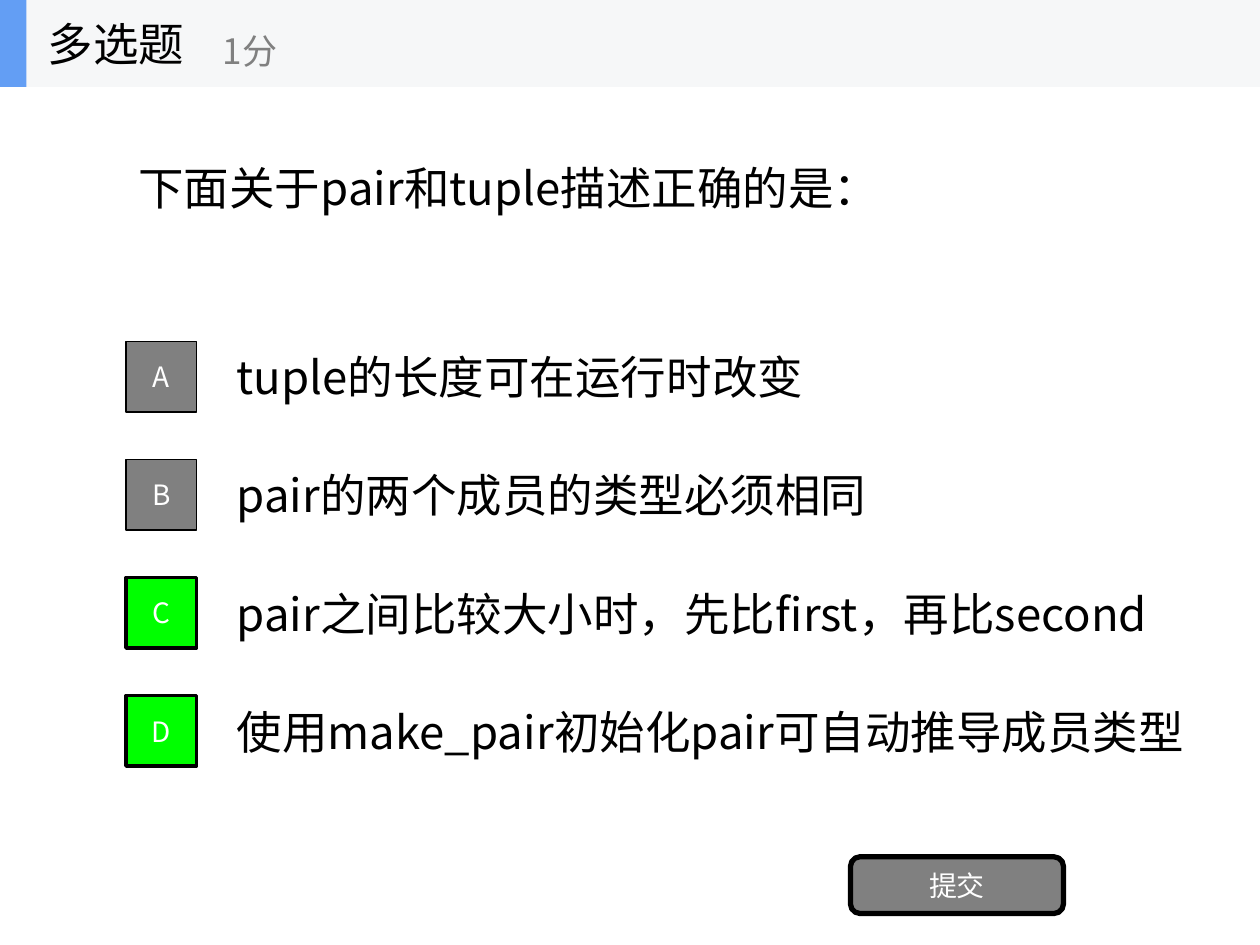
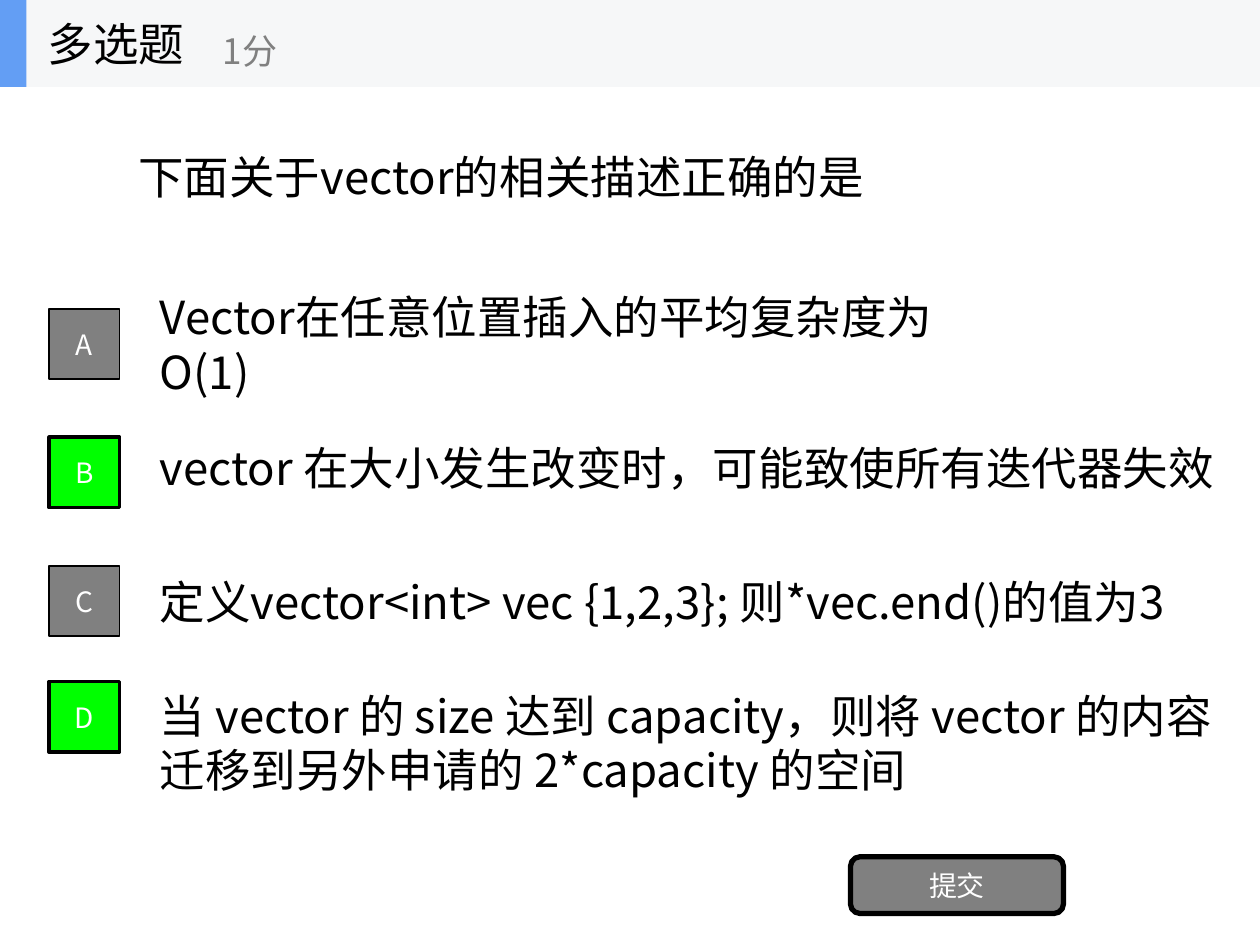
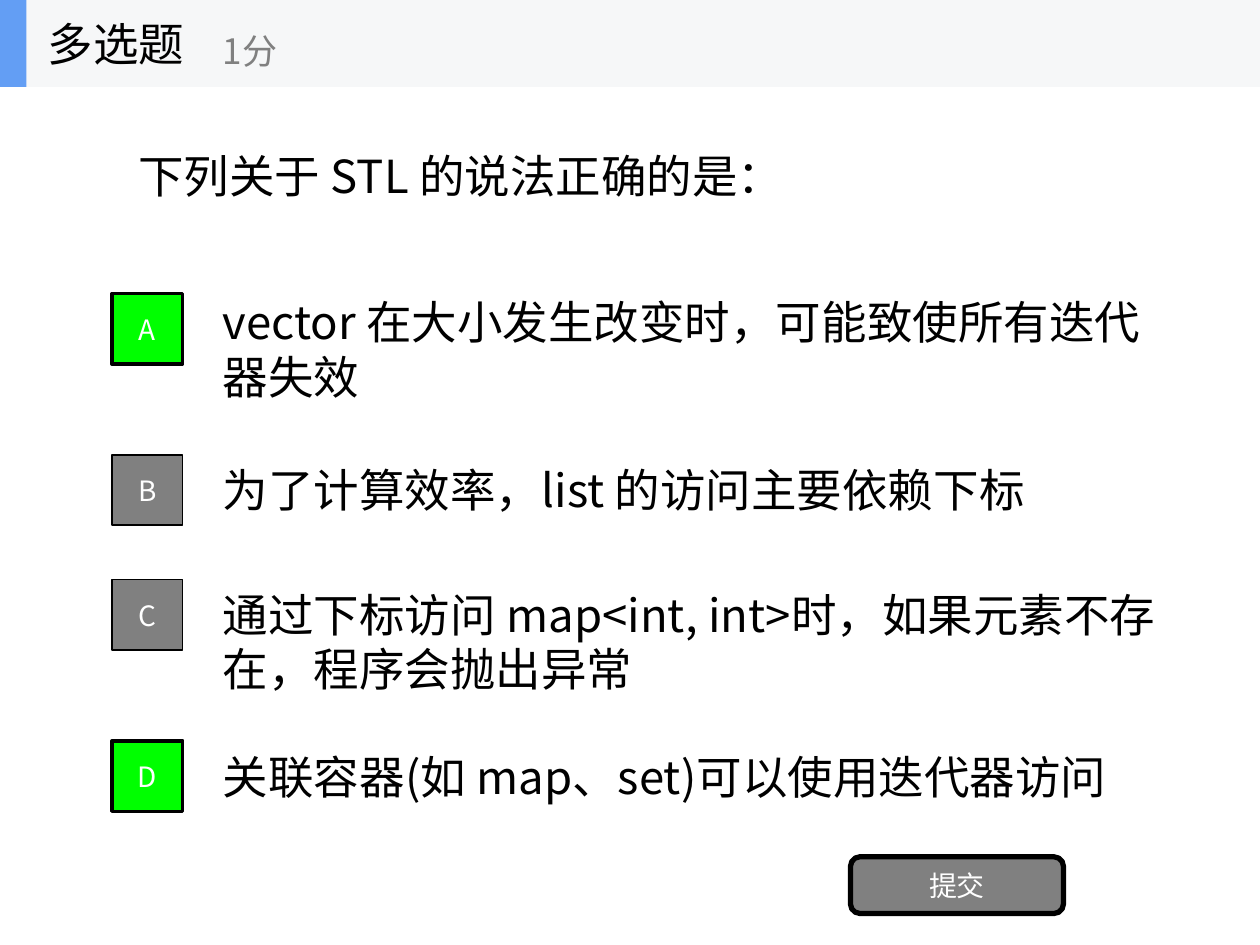
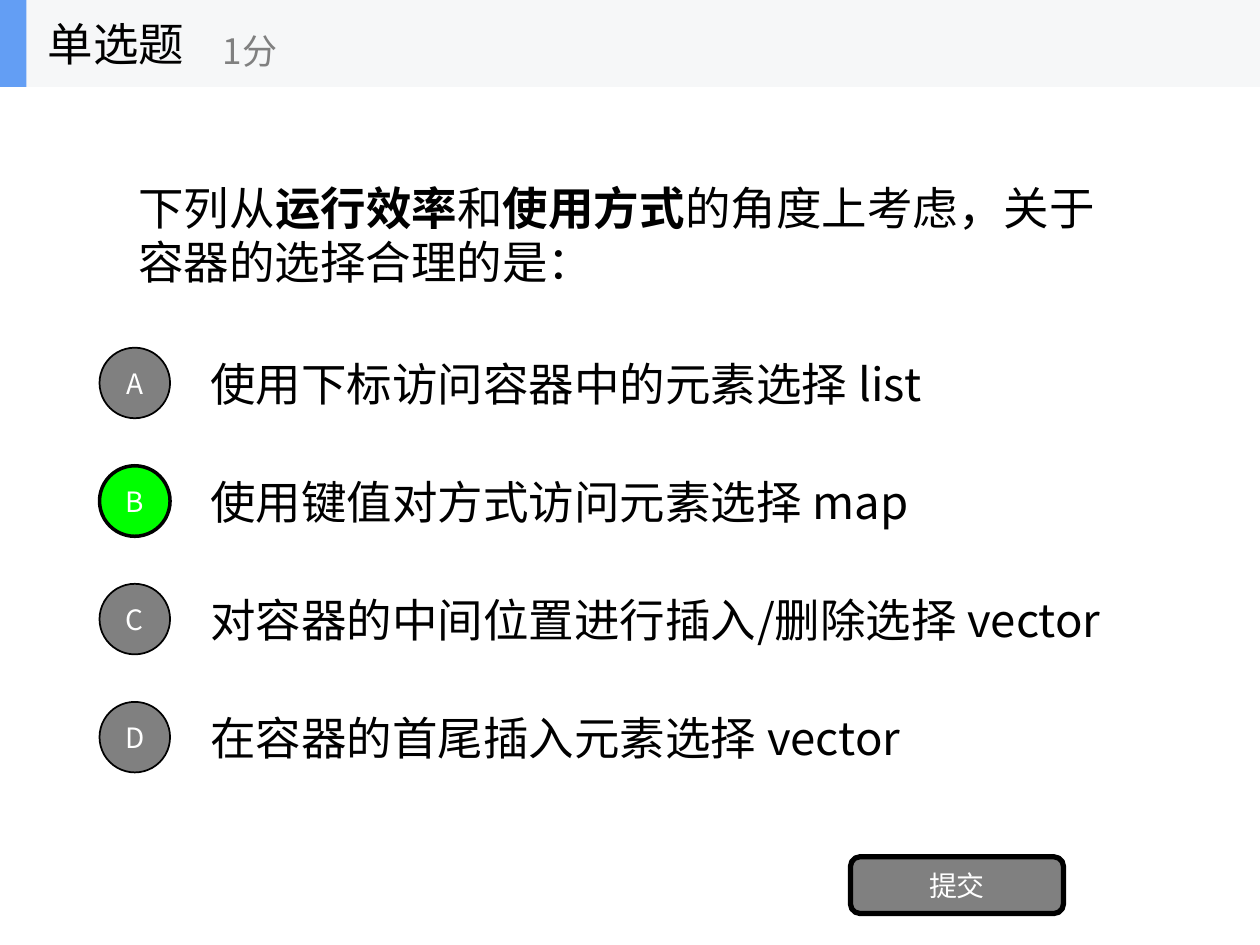
from dataclasses import dataclass

from pptx import Presentation
from pptx.dml.color import RGBColor
from pptx.enum.shapes import MSO_SHAPE as Shape
from pptx.enum.text import MSO_ANCHOR as Anchor, PP_ALIGN as Align
from pptx.oxml.ns import qn
from pptx.util import Inches, Pt

# The slide is a grid of 100 columns by 75 rows; all lengths count cells.
SLIDE_W, SLIDE_H = Inches(10), Inches(7.5)
COL, ROW = SLIDE_W / 100, SLIDE_H / 75

FONT = "Noto Sans CJK SC"
BLACK, WHITE, GRAY = "000000", "FFFFFF", "808080"
GREEN, BAND, ACCENT = "00FF00", "F6F7F8", "639EF4"
BODY_PT, SCORE_PT, LABEL_PT = 26, 20, 16

HEADER_H = 6.9
BADGE = 5.6
OPTION_H = 7
OPTION_INDENT = 7.8
OPTION_PITCH = 9.37
LETTERS = "ABCD"


@dataclass(frozen=True)
class Box:
    left: float
    top: float
    width: float
    height: float

    def emu(self) -> tuple[int, int, int, int]:
        return (round(self.left * COL), round(self.top * ROW),
                round(self.width * COL), round(self.height * ROW))


@dataclass(frozen=True)
class Option:
    """An answer; shift moves its text off the middle of its badge."""
    text: str
    width: float
    shift: float = 0


@dataclass(frozen=True)
class Question:
    kind: str
    prompt: str
    prompt_h: float
    left: float
    tops: list[float]
    options: list[Option]
    answers: str
    badge: Shape = Shape.RECTANGLE


def even_tops(first: float) -> list[float]:
    return [first + i * OPTION_PITCH for i in range(len(LETTERS))]


def rgb(color: str) -> RGBColor:
    return RGBColor.from_string(color)


def write(sp, text: str, size: float, color: str, align: Align = Align.LEFT,
          wrap: bool = True) -> None:
    """Put text in a shape; parts between double asterisks are bold."""
    tf = sp.text_frame
    tf.word_wrap = wrap
    tf.vertical_anchor = Anchor.MIDDLE
    p = tf.paragraphs[0]
    p.alignment = align
    for i, part in enumerate(text.split("**")):
        r = p.add_run()
        r.text = part
        font = r.font
        font.name, font.size, font.bold = FONT, Pt(size), i % 2 == 1
        font.color.rgb = rgb(color)
        ea = r._r.get_or_add_rPr().makeelement(qn("a:ea"), {"typeface": FONT})
        font._element.find(qn("a:latin")).addnext(ea)


def add_text(shapes, box: Box, text: str, size: float = BODY_PT,
             color: str = BLACK, wrap: bool = True) -> None:
    write(shapes.add_textbox(*box.emu()), text, size, color, wrap=wrap)


def add_block(shapes, kind: Shape, box: Box, fill: str, line_pt: float = 0,
              label: str = "") -> None:
    sp = shapes.add_shape(kind, *box.emu())
    sp.shadow.inherit = False
    sp.fill.solid()
    sp.fill.fore_color.rgb = rgb(fill)
    if line_pt:
        sp.line.color.rgb = rgb(BLACK)
        sp.line.width = Pt(line_pt)
    else:
        sp.line.fill.background()
    if label:
        write(sp, label, LABEL_PT, WHITE, Align.CENTER)


def add_header(slide, kind: str) -> None:
    shapes = slide.shapes.add_group_shape().shapes
    add_block(shapes, Shape.RECTANGLE, Box(0, 0, 100, HEADER_H), BAND)
    add_block(shapes, Shape.RECTANGLE, Box(0, 0, 2.1, HEADER_H), ACCENT)
    add_text(shapes, Box(2.8, 0, 20.8, HEADER_H), kind, wrap=False)
    add_text(shapes, Box(16.7, 1.2, 25, 5.6), "1分", SCORE_PT, GRAY, wrap=False)


def add_question(prs, q: Question) -> None:
    slide = prs.slides.add_slide(prs.slide_layouts[6])
    shapes = slide.shapes
    add_text(shapes, Box(10, HEADER_H, 80, q.prompt_h), q.prompt)
    for top, option in zip(q.tops, q.options):
        text_top = top - (OPTION_H - BADGE) / 2 + option.shift
        add_text(shapes, Box(q.left + OPTION_INDENT, text_top, option.width, OPTION_H),
                 option.text)
    for top, letter in zip(q.tops, LETTERS):
        fill, line_pt = (GREEN, 2) if letter in q.answers else (GRAY, 1)
        add_block(shapes, q.badge, Box(q.left, top, BADGE, BADGE), fill, line_pt, letter)
    add_block(shapes, Shape.ROUNDED_RECTANGLE, Box(67.5, 68, 16.9, 4.5), GRAY, 3, "提交")
    add_header(slide, q.kind)


QUESTIONS = [
    Question("多选题", "下面关于pair和tuple描述正确的是：", 16, 10, even_tops(27.1), [
        Option("tuple的长度可在运行时改变", 70),
        Option("pair的两个成员的类型必须相同", 70),
        Option("pair之间比较大小时，先比first，再比second", 76.2),
        Option("使用make_pair初始化pair可自动推导成员类型", 81.2),
    ], "CD"),
    Question("多选题", "下面关于vector的相关描述正确的是", 14.1, 3.9,
             [24.5, 34.7, 44.9, 54.1], [
        Option("Vector在任意位置插入的平均复杂度为O(1)", 70),
        Option("vector 在大小发生改变时，可能致使所有迭代器失效", 86.7, -0.4),
        Option("定义vector<int> vec {1,2,3}; 则*vec.end()的值为3", 86.7),
        Option("当 vector 的 size 达到 capacity，则将 vector 的内容迁移到另外申请的 "
               "2*capacity 的空间", 85.7, 2),
    ], "BD"),
    Question("多选题", "下列关于 STL 的说法正确的是：", 14, 8.9,
             [23.3, 36.1, 46, 58.8], [
        Option("vector 在大小发生改变时，可能致使所有迭代器失效", 77.6, 1.6),
        Option("为了计算效率，list 的访问主要依赖下标", 70, -0.1),
        Option("通过下标访问 map<int, int>时，如果元素不存在，程序会抛出异常", 76.6, 2.1),
        Option("关联容器(如 map、set)可以使用迭代器访问", 74.1),
    ], "AD"),
    Question("单选题", "下列从**运行效率**和**使用方式**的角度上考虑，关于容器的选择合理的是：",
             23.4, 7.9, even_tops(27.6), [
        Option("使用下标访问容器中的元素选择 list", 78.4),
        Option("使用键值对方式访问元素选择 map", 78.4),
        Option("对容器的中间位置进行插入/删除选择 vector", 81.1),
        Option("在容器的首尾插入元素选择 vector", 70),
    ], "B", Shape.OVAL),
]


def main() -> None:
    prs = Presentation()
    prs.slide_width, prs.slide_height = SLIDE_W, SLIDE_H
    for question in QUESTIONS:
        add_question(prs, question)
    prs.save("out.pptx")


if __name__ == "__main__":
    main()
